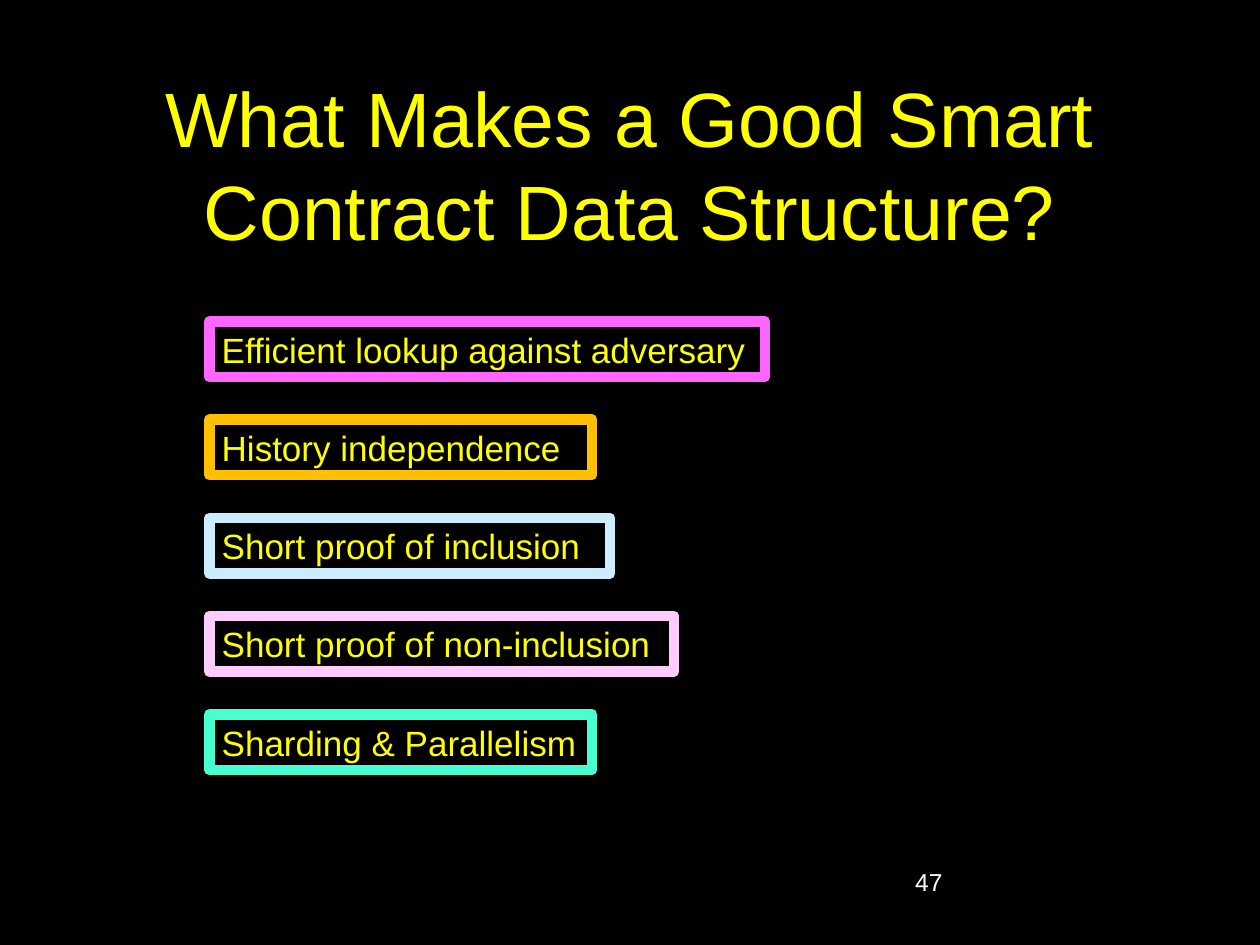
import pptx
import pptx.dml.color
import pptx.enum.shapes
import pptx.enum.text
import pptx.util
from pptx.dml.color import RGBColor
from pptx.util import Cm

BLACK = RGBColor(0x00, 0x00, 0x00)
WHITE = RGBColor(0xFF, 0xFF, 0xFF)
YELLOW = RGBColor(0xFF, 0xFF, 0x00)
MAGENTA = RGBColor(0xFF, 0x66, 0xFF)
ORANGE = RGBColor(0xFF, 0xC0, 0x00)
PALE_BLUE = RGBColor(0xCC, 0xEC, 0xFF)
PALE_PINK = RGBColor(0xFF, 0xCC, 0xFF)
MINT = RGBColor(0x47, 0xFF, 0xD1)

# Wording, box width in cm and border colour
PROPERTIES = [
    ("Efficient lookup against adversary", 11.2, MAGENTA),
    ("History independence", 7.72, ORANGE),
    ("Short proof of inclusion", 8.08, PALE_BLUE),
    ("Short proof of non-inclusion", 9.37, PALE_PINK),
    ("Sharding & Parallelism", 7.72, MINT),
]


def write_text(shape, text, size, color, alignment, anchor):
    frame = shape.text_frame
    frame.word_wrap = True
    frame.vertical_anchor = anchor
    paragraph = frame.paragraphs[0]
    paragraph.text = text
    paragraph.alignment = alignment
    paragraph.font.name = "Arial"
    paragraph.font.size = pptx.util.Pt(size)
    paragraph.font.color.rgb = color


def add_title(slide, left, top, width, height):
    title = slide.shapes.add_textbox(left, top, width, height)
    write_text(title, "What Makes a Good Smart Contract Data Structure?", 44, YELLOW,
               pptx.enum.text.PP_ALIGN.CENTER, pptx.enum.text.MSO_ANCHOR.MIDDLE)


def add_property_list(slide, left, top, pitch, height):
    for index, (text, width, border) in enumerate(PROPERTIES):
        box = slide.shapes.add_shape(pptx.enum.shapes.MSO_SHAPE.RECTANGLE,
                                     left, top + index * pitch, Cm(width), height)
        box.shadow.inherit = False
        box.fill.solid()
        box.fill.fore_color.rgb = BLACK
        box.line.color.rgb = border
        box.line.width = pptx.util.Pt(6)
        write_text(box, text, 20, YELLOW,
                   pptx.enum.text.PP_ALIGN.LEFT, pptx.enum.text.MSO_ANCHOR.MIDDLE)


def add_page_number(slide, left, top, width, height):
    number = slide.shapes.add_textbox(left, top, width, height)
    write_text(number, "47", 14, WHITE,
               pptx.enum.text.PP_ALIGN.LEFT, pptx.enum.text.MSO_ANCHOR.TOP)


def main():
    presentation = pptx.Presentation()
    presentation.slide_width = Cm(25.4)
    presentation.slide_height = Cm(19.05)
    slide = presentation.slides.add_slide(presentation.slide_layouts[6])

    # Background
    slide.background.fill.solid()
    slide.background.fill.fore_color.rgb = BLACK

    # Title, framed properties and page number
    add_title(slide, Cm(1.9), Cm(1.7), Cm(21.6), Cm(3.18))
    add_property_list(slide, Cm(4.22), Cm(6.48), Cm(1.98), Cm(1.12))
    add_page_number(slide, Cm(18.2), Cm(17.35), Cm(5.3), Cm(1.27))

    presentation.save("out.pptx")


if __name__ == "__main__":
    main()
